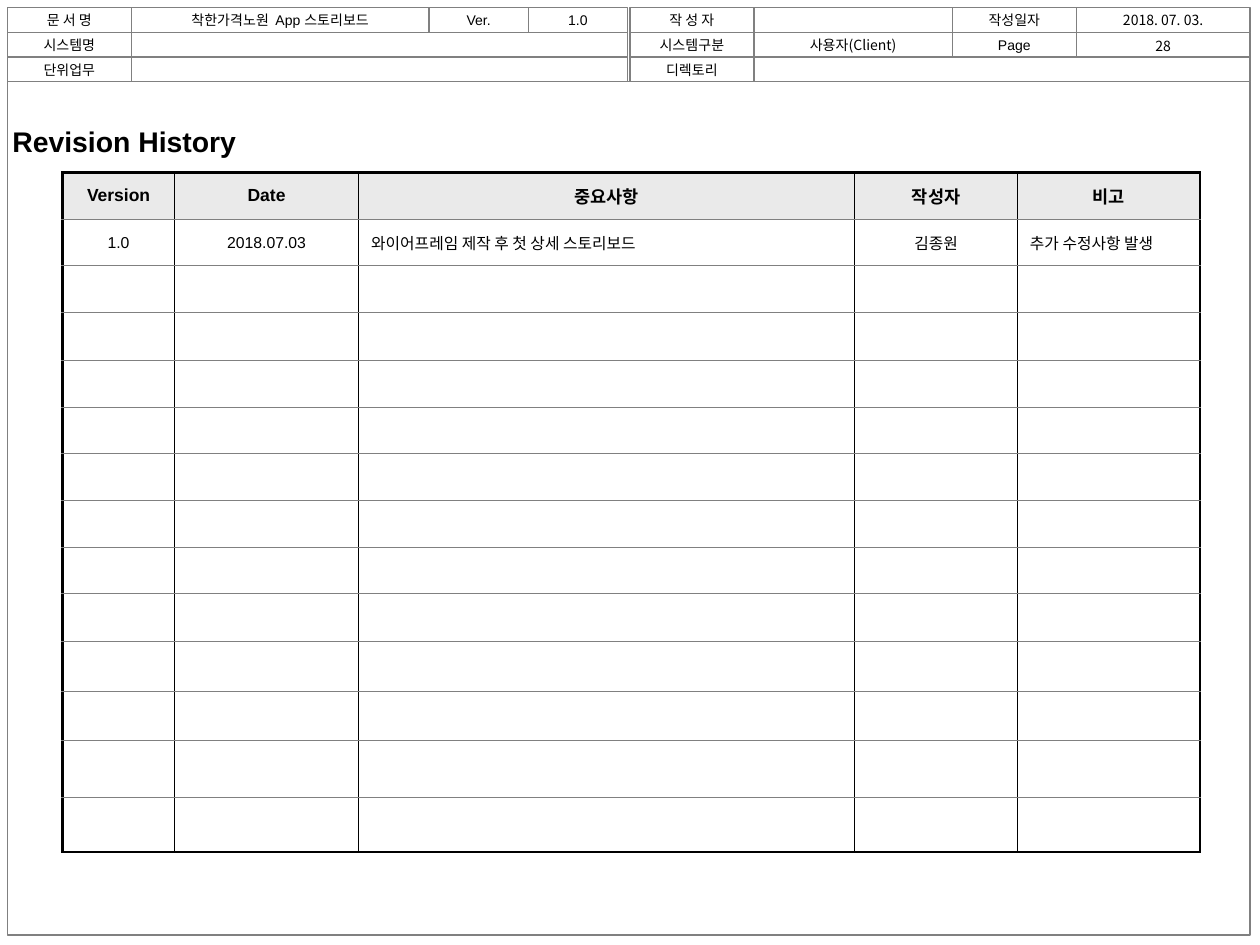
from lxml.etree import SubElement
from pptx import Presentation
from pptx.dml.color import RGBColor
from pptx.enum.shapes import MSO_SHAPE
from pptx.enum.text import MSO_ANCHOR, PP_ALIGN
from pptx.oxml.ns import qn
from pptx.util import Cm, Pt

COLORS = {"ink": "000000", "rule": "808080", "header": "EAEAEA"}
LATIN, KOREAN = "Arial", "Noto Sans CJK KR"


def color(name):
    return RGBColor.from_string(COLORS[name])


def write(frame, text, size=8, font=LATIN, bold=False, align=PP_ALIGN.CENTER):
    """Put one formatted line of text in a text frame."""
    frame.word_wrap = True
    frame.vertical_anchor = MSO_ANCHOR.MIDDLE
    para = frame.paragraphs[0]
    para.alignment = align
    span = para.add_run()
    span.text = text
    span.font.size = Pt(size)
    span.font.bold = bold
    span.font.name = font
    span.font.color.rgb = color("ink")
    SubElement(span.font._element, qn("a:ea"), typeface=KOREAN)


class Storyboard:
    def __init__(self, deck):
        self.page = deck.slides.add_slide(deck.slide_layouts[6])

    def box(self, left, top, width, height, text=""):
        box = self.page.shapes.add_shape(
            MSO_SHAPE.RECTANGLE, Cm(left), Cm(top), Cm(width), Cm(height))
        box.shadow.inherit = False
        box.fill.background()
        box.line.color.rgb = color("rule")
        box.line.width = Pt(0.75)
        if text:
            write(box.text_frame, text)

    def label(self, left, top, width, height, text, **style):
        box = self.page.shapes.add_textbox(
            Cm(left), Cm(top), Cm(width), Cm(height))
        write(box.text_frame, text, **style)

    def box_row(self, left, top, height, cells):
        for width, text in cells:
            self.box(left, top, width, height, text)
            left += width

    def border(self, cell, side, name, width):
        line = SubElement(cell._tc.get_or_add_tcPr(), qn(f"a:ln{side}"),
                          w=str(Pt(width)))
        fill = SubElement(line, qn("a:solidFill"))
        SubElement(fill, qn("a:srgbClr"), val=COLORS[name])

    def table(self, left, top, widths, heights, texts, left_columns):
        table = self.page.shapes.add_table(
            len(heights), len(widths), Cm(left), Cm(top),
            Cm(sum(widths)), Cm(sum(heights))).table
        table.first_row = table.horz_banding = False
        for column, width in zip(table.columns, widths):
            column.width = Cm(width)
        for row, height in zip(table.rows, heights):
            row.height = Cm(height)

        last_row, last_col = len(heights) - 1, len(widths) - 1
        for r in range(len(heights)):
            for c in range(len(widths)):
                cell = table.cell(r, c)
                # Thick outer frame, black columns, grey row rules
                outer = ("ink", 1.5)
                self.border(cell, "L", "ink", 1.5 if c == 0 else 1)
                self.border(cell, "R", "ink", 1.5 if c == last_col else 1)
                self.border(cell, "T", *(outer if r == 0 else ("rule", 0.75)))
                self.border(cell, "B", *(outer if r == last_row else ("rule", 0.75)))
                if r == 0:
                    cell.fill.solid()
                    cell.fill.fore_color.rgb = color("header")
                else:
                    cell.fill.background()
                cell.vertical_anchor = MSO_ANCHOR.MIDDLE
                if r < len(texts):
                    at_left = r > 0 and c in left_columns
                    write(cell.text_frame, texts[r][c],
                          size=9 if r else 10, bold=r == 0,
                          align=PP_ALIGN.LEFT if at_left else PP_ALIGN.CENTER)
                else:
                    # Keeps empty rows from growing
                    cell.margin_top = cell.margin_bottom = 0


def main():
    deck = Presentation()
    deck.slide_width, deck.slide_height = Cm(25.4), Cm(19.05)
    board = Storyboard(deck)

    # Document header: two blocks of three rows, above the page frame
    edge, middle, step = 0.15, 12.7, 0.5
    header = [
        ([(2.5, "문 서 명"), (6, "착한가격노원  App 스토리보드"), (2, "Ver."), (2, "1.0")],
         [(2.5, "작 성 자"), (4, ""), (2.5, "작성일자"), (3.5, "")]),
        ([(2.5, "시스템명"), (10, "")],
         [(2.5, "시스템구분"), (4, ""), (2.5, "Page"), (3.5, "")]),
        ([(2.5, "단위업무"), (10, "")],
         [(2.5, "디렉토리"), (10, "")]),
    ]
    board.box(edge, edge + 3 * step, 25.05, 17.2)
    for index, blocks in enumerate(header):
        for left, cells in zip((edge, middle), blocks):
            board.box_row(left, edge + index * step, step, cells)

    # Values laid over the header boxes
    board.label(21.7, 0.1, 3.5, 0.6, "2018. 07. 03.", font=KOREAN)
    board.label(15.2, 0.6, 4, 0.6, "사용자(Client)", font=KOREAN)
    board.label(21.7, 0.68, 3.5, 0.5, "28", font=KOREAN)

    # Title
    board.label(0, 2.42, 8.13, 0.86, "Revision History",
                size=16.2, bold=True, align=PP_ALIGN.LEFT)

    # Revision table
    board.table(
        1.26, 3.48,
        widths=[2.26, 3.71, 10, 3.28, 3.68],
        heights=[0.94] * 3 + [0.97] + [0.94] * 5 + [0.96, 1.01, 0.99, 1.14, 1.1],
        texts=[
            ["Version", "Date", "중요사항", "작성자", "비고"],
            ["1.0", "2018.07.03", "와이어프레임 제작 후 첫 상세 스토리보드",
             "김종원", "추가 수정사항 발생"],
        ],
        left_columns=(2, 4))

    deck.save("out.pptx")


if __name__ == "__main__":
    main()
